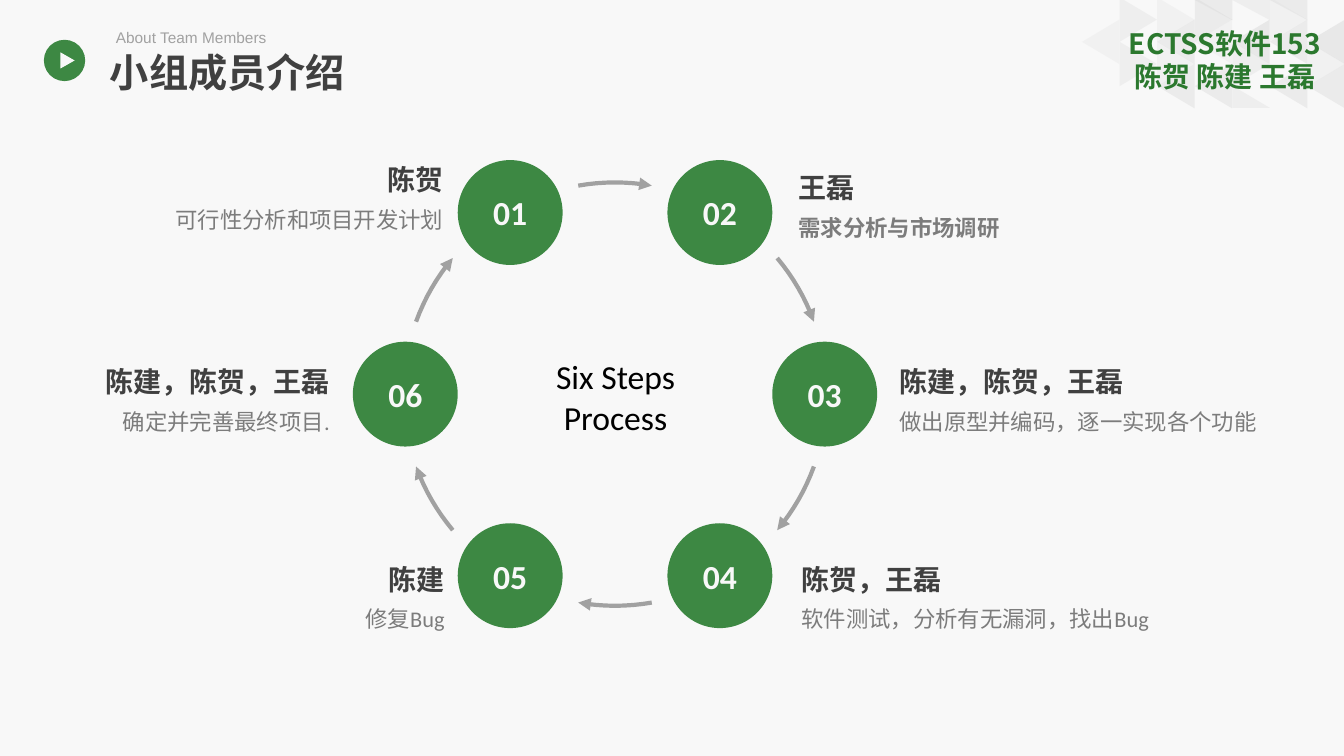
from math import cos, sin, radians
from lxml.etree import SubElement
from pptx import Presentation
from pptx.dml.color import RGBColor as RGB
from pptx.enum.shapes import MSO_SHAPE as Kind
from pptx.enum.text import MSO_ANCHOR as Anchor, MSO_AUTO_SIZE as Fit, PP_ALIGN as Align
from pptx.oxml.ns import qn
from pptx.util import Inches, Pt

INK = {"back": "F8F8F8", "green": "3D8843", "deep": "2B782E", "dark": "404040",
       "mid": "7C7C7C", "soft": "A1A1A1", "tile": "D9D9D9", "black": "000000"}
HAN = "Noto Sans CJK SC"
WIDE, HIGH = 13.33, 7.5
HEAD = "小组成员介绍"
SUB = "About Team Members"
TEAM = ["ECTSS软件153", "陈贺 陈建 王磊"]
HUB = ["Six Steps", "Process"]
STEPS = [
    ("01", "陈贺", "可行性分析和项目开发计划", False, (1.04, 1.55, 3.36, 0.77)),
    ("02", "王磊", "需求分析与市场调研", True, (7.92, 1.63, 2.95, 0.77)),
    ("03", "陈建，陈贺，王磊", "做出原型并编码，逐一实现各个功能", False, (8.92, 3.55, 3.68, 0.77)),
    ("04", "陈贺，王磊", "软件测试，分析有无漏洞，找出Bug", False, (7.95, 5.51, 3.61, 0.77)),
    ("05", "陈建", "修复Bug", False, (1.46, 5.51, 2.95, 0.77)),
    ("06", "陈建，陈贺，王磊", "确定并完善最终项目.", False, (0.32, 3.55, 2.95, 0.77)),
]
TILES = [
    (270, 0.23, {0: 20, 2: 40, 3: 20, 4: 50, 5: 40, 6: 50}),
    (270, 0.67, {2: 40, 3: 40, 5: 40, 6: 40}),
    (90, 0.01, {1: 30, 2: 20, 3: 40, 5: 20}),
    (90, 0.45, {1: 30, 2: 20, 4: 30, 6: 22}),
]
HALVES = {3: 40, 4: 30, 5: 40}
MIDX, MIDY, RING, DISC = 6.1, 3.91, 2.08, 1.04
ARC, SWEEP, BITS = 2.1, 10, 8
GRID, STEP, TALL, DEEP = 10.73, 0.373, 0.44, 0.37

deck = Presentation()
deck.slide_width, deck.slide_height = Inches(WIDE), Inches(HIGH)
page = deck.slides.add_slide(deck.slide_layouts[5])
page.background.fill.solid()
page.background.fill.fore_color.rgb = RGB.from_string(INK["back"])


def paint(shape, ink, alpha=100):
    shape.shadow.inherit = False
    shape.line.fill.background()
    shape.fill.solid()
    shape.fill.fore_color.rgb = RGB.from_string(INK[ink])
    if alpha < 100:
        tone = shape.fill._xPr.find(".//" + qn("a:srgbClr"))
        SubElement(tone, qn("a:alpha"), val=str(alpha * 1000))
    return shape


def form(kind, x, y, w, h, ink, alpha=100, turn=0):
    box = [Inches(v) for v in (x - w / 2, y - h / 2, w, h)]
    shape = page.shapes.add_shape(kind, *box)
    shape.rotation = turn
    return paint(shape, ink, alpha)


def trace(dots, close):
    dots = [(Inches(x), Inches(y)) for x, y in dots]
    pen = page.shapes.build_freeform(*dots[0])
    pen.add_line_segments(dots[1:], close=close)
    return pen.convert_to_shape()


def write(lines, shape=None, box=None, size=20, ink="dark", font="Calibri", bold=False,
          align=Align.LEFT, anchor=Anchor.TOP, pad=None, lead=None, gap=None, wrap=True):
    shape = shape or page.shapes.add_textbox(0, 0, 0, 0)
    if box:
        shape.left, shape.top, shape.width, shape.height = [Inches(v) for v in box]
    frame = shape.text_frame
    frame.auto_size, frame.word_wrap, frame.vertical_anchor = Fit.NONE, wrap, anchor
    if pad is not None:
        frame.margin_left = frame.margin_right = Inches(pad)
        frame.margin_top = frame.margin_bottom = Inches(pad)
    for n, line in enumerate(lines):
        text, own = line if isinstance(line, tuple) else (line, {})
        para = frame.add_paragraph() if n else frame.paragraphs[0]
        para.alignment, para.line_spacing = align, lead
        if gap:
            para.space_before = Pt(gap)
        run = para.add_run()
        run.text = text
        run.font.name = font
        run.font.size = Pt(own.get("size", size))
        run.font.bold = own.get("bold", bold)
        run.font.color.rgb = RGB.from_string(INK[own.get("ink", ink)])
        SubElement(run.font._element, qn("a:ea"), typeface=HAN)


def polar(turn, far):
    return MIDX + far * cos(radians(turn)), MIDY + far * sin(radians(turn))


for turn, top, row in TILES:
    for col, alpha in row.items():
        form(Kind.ISOSCELES_TRIANGLE, GRID + (col + 0.5) * STEP, top + DEEP / 2,
             TALL, DEEP, "tile", alpha, turn)
for col, alpha in HALVES.items():
    left, right = GRID + col * STEP, GRID + (col + 1) * STEP
    paint(trace([(right, 0.2), (left, 0), (right, 0)], True), "tile", alpha)
left = GRID + 4 * STEP
paint(trace([(left, 0.85), (left + STEP, 1.07), (left, 1.07)], True), "tile", 30)

write(HUB, box=(4.96, 2.79, 2.29, 2.29), size=24, ink="black", pad=0,
      align=Align.CENTER, anchor=Anchor.MIDDLE)

for n, (mark, name, task, heavy, box) in enumerate(STEPS):
    turn = 60 * n - 120
    disc = form(Kind.OVAL, *polar(turn, RING), DISC, DISC, "green")
    write([mark], disc, size=24, ink="back", bold=True, pad=0,
          align=Align.CENTER, anchor=Anchor.MIDDLE)
    arc = trace([polar(turn + 30 - SWEEP + 2 * SWEEP * k / BITS, ARC)
                 for k in range(BITS + 1)], False)
    arc.shadow.inherit = False
    arc.fill.background()
    arc.line.color.rgb = RGB.from_string(INK["soft"])
    arc.line.width = Pt(3)
    SubElement(arc.line._get_or_add_ln(), qn("a:tailEnd"), type="triangle")
    write([name, (task, {"size": 16, "ink": "mid", "bold": heavy})], box=box, bold=True,
          align=Align.LEFT if n in (1, 2, 3) else Align.RIGHT, pad=0, lead=1.2, gap=3)

form(Kind.OVAL, 0.64, 0.6, 0.41, 0.41, "green")
form(Kind.ISOSCELES_TRIANGLE, 0.67, 0.6, 0.16, 0.14, "back", turn=90)
write([HEAD], page.shapes.title, (0.99, 0.43, 2.76, 0.57), size=28, font=HAN, bold=True)
write([SUB], box=(1.05, 0.19, 1.73, 0.3), size=11, ink="soft", font="Arial",
      lead=1.2, wrap=False)
write(TEAM, box=(11.08, 0.21, 2.14, 0.77), ink="deep", font=HAN, bold=True,
      align=Align.CENTER)
deck.save("out.pptx")
